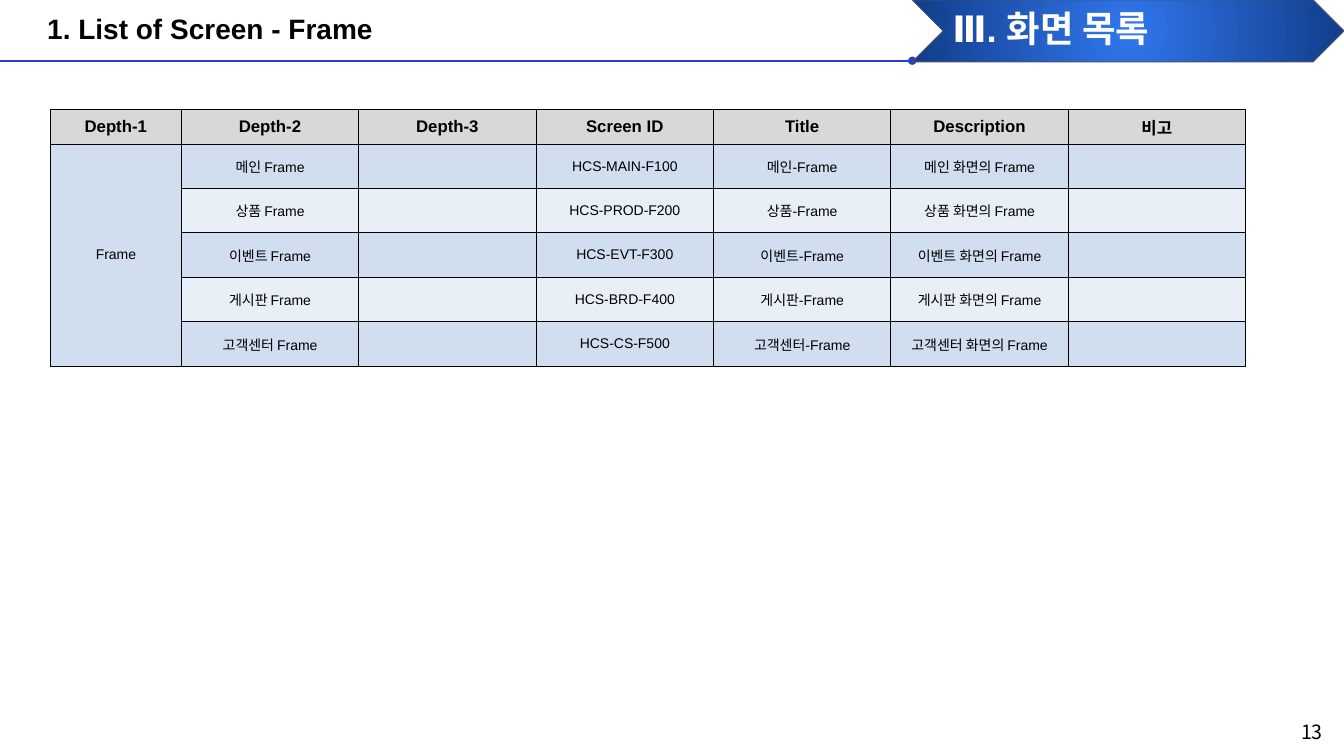
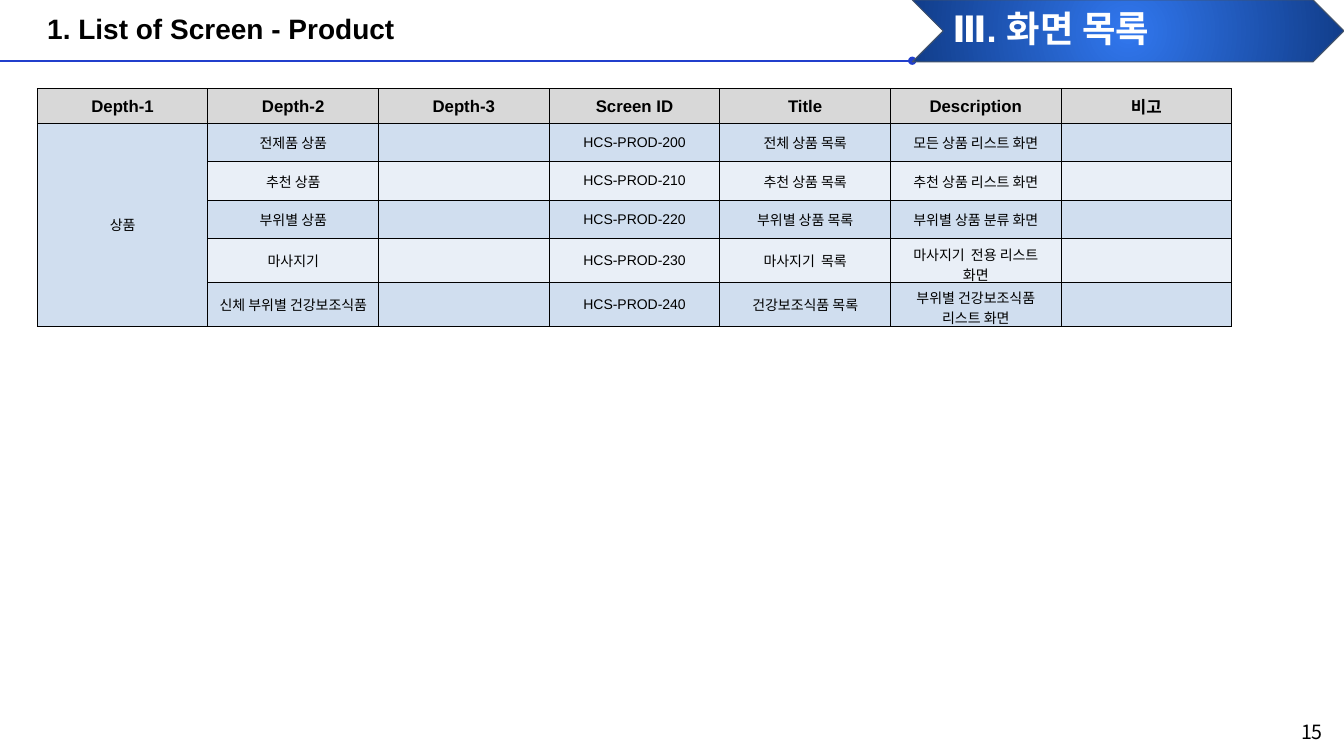
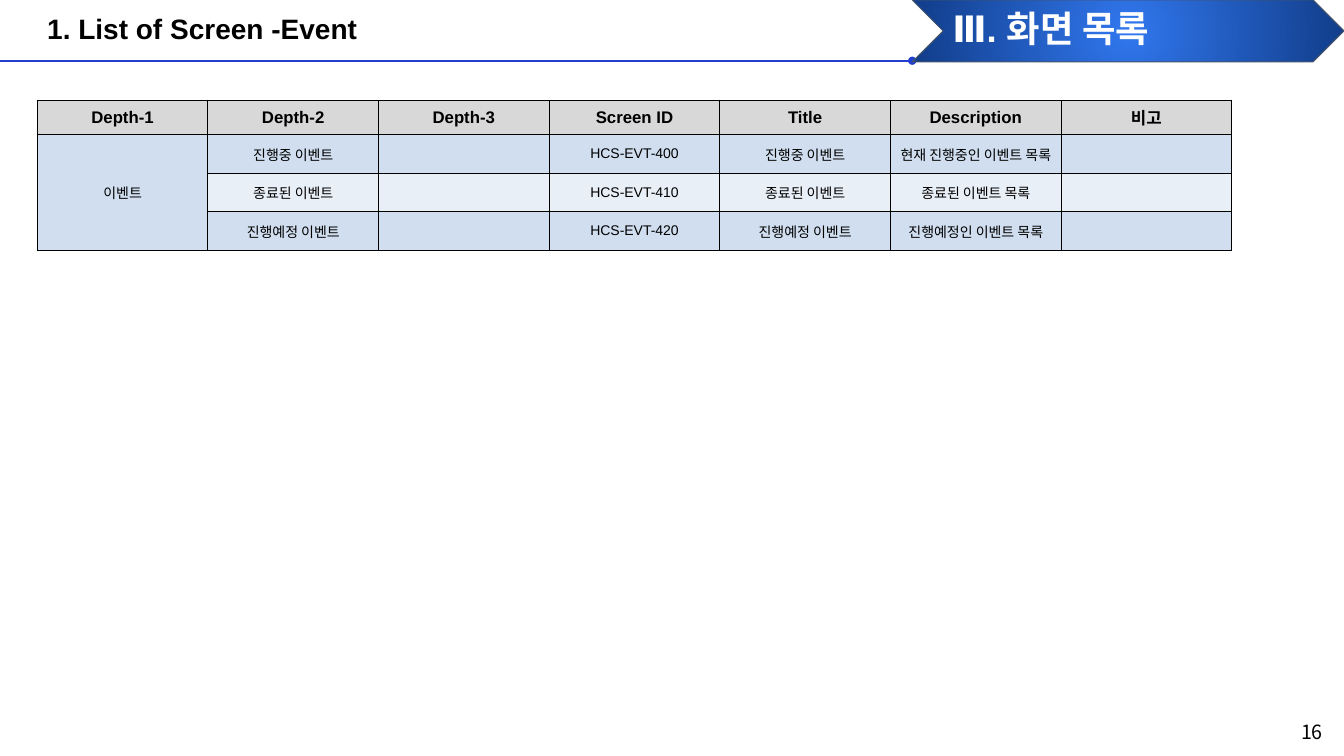
from lxml.etree import SubElement
from pptx import Presentation
from pptx.dml.color import RGBColor
from pptx.enum.shapes import MSO_CONNECTOR, MSO_SHAPE
from pptx.enum.text import MSO_ANCHOR as Anchor, PP_ALIGN as Align
from pptx.oxml.ns import qn
from pptx.util import Cm, Pt

# Shared look
BLACK = RGBColor(0x00, 0x00, 0x00)
WHITE = RGBColor(0xFF, 0xFF, 0xFF)
RULE_BLUE = RGBColor(0x21, 0x3F, 0xCC)
BANNER_CENTRE = RGBColor(0x31, 0x77, 0xEE)
BANNER_EDGE = RGBColor(0x11, 0x3D, 0x8A)
BANNER_LINE = RGBColor(0x44, 0x54, 0x6A)
HEADER_GREY = RGBColor(0xD8, 0xD8, 0xD8)
ROW_FILLS = (RGBColor(0xD0, 0xDE, 0xEF), RGBColor(0xE9, 0xEF, 0xF7))
LATIN, KOREAN = "Arial", "Noto Sans CJK KR"

SLIDE_W, SLIDE_H = Cm(33.87), Cm(19.05)
BAND_H = Cm(1.53)
BANNER_LEFT = Cm(22.99)
HEADER_H = Cm(0.87)

SECTION = "Ⅲ. 화면 목록"
HEADINGS = ("Depth-1", "Depth-2", "Depth-3", "Screen ID", "Title",
            "Description", "비고")

# Each row: Depth-2, Screen ID, Title, Description
FRAME_ROWS = [
    (f"{area} Frame", f"HCS-{code}", f"{area}-Frame", f"{area} 화면의 Frame")
    for area, code in (("메인", "MAIN-F100"), ("상품", "PROD-F200"),
                       ("이벤트", "EVT-F300"), ("게시판", "BRD-F400"),
                       ("고객센터", "CS-F500"))
]
PRODUCT_ROWS = [
    ("전제품 상품", "HCS-PROD-200", "전체 상품 목록", "모든 상품 리스트 화면"),
    ("추천 상품", "HCS-PROD-210", "추천 상품 목록", "추천 상품 리스트 화면"),
    ("부위별 상품", "HCS-PROD-220", "부위별 상품 목록", "부위별 상품 분류 화면"),
    ("마사지기", "HCS-PROD-230", "마사지기  목록", "마사지기  전용 리스트 화면"),
    ("신체 부위별 건강보조식품", "HCS-PROD-240", "건강보조식품 목록",
     "부위별 건강보조식품 리스트 화면"),
]
EVENT_ROWS = [
    ("진행중 이벤트", "HCS-EVT-400", "진행중 이벤트", "현재 진행중인 이벤트 목록"),
    ("종료된 이벤트", "HCS-EVT-410", "종료된 이벤트", "종료된 이벤트 목록"),
    ("진행예정 이벤트", "HCS-EVT-420", "진행예정 이벤트", "진행예정인 이벤트 목록"),
]


def style_paragraph(paragraph, size, color, bold=False, latin=LATIN):
    font = paragraph.font
    font.size, font.bold, font.name = Pt(size), bold, latin
    font.color.rgb = color
    SubElement(font._element, qn("a:ea"), typeface=KOREAN)


def add_label(slide, text, left, top, width, height, size, color, bold=True,
              latin=LATIN, anchor=Anchor.MIDDLE, spacing=0.9):
    frame = slide.shapes.add_textbox(left, top, width, height).text_frame
    frame.word_wrap = True
    frame.vertical_anchor = anchor
    paragraph = frame.paragraphs[0]
    paragraph.text = text
    paragraph.line_spacing = spacing
    style_paragraph(paragraph, size, color, bold, latin)


def add_title_band(slide, title):
    # Rule ending in a dot
    rule = slide.shapes.add_connector(MSO_CONNECTOR.STRAIGHT, 0, BAND_H,
                                      BANNER_LEFT, BAND_H)
    rule.line.color.rgb = RULE_BLUE
    rule.line.width = Pt(1.5)
    SubElement(rule.line._get_or_add_ln(), qn("a:tailEnd"), type="oval")
    SubElement(rule._element.spPr, qn("a:effectLst"))

    # Section banner with a radial gradient
    banner = slide.shapes.add_shape(MSO_SHAPE.CHEVRON, BANNER_LEFT, 0,
                                    SLIDE_W - BANNER_LEFT, Cm(1.56))
    banner.shadow.inherit = False
    banner.line.color.rgb = BANNER_LINE
    banner.line.width = Pt(0.75)
    banner.fill.gradient()
    for stop, color in zip(banner.fill.gradient_stops,
                           (BANNER_CENTRE, BANNER_EDGE)):
        stop.color.rgb = color
    gradient = banner._element.spPr.find(qn("a:gradFill"))
    gradient.remove(gradient.find(qn("a:lin")))
    radial = SubElement(gradient, qn("a:path"))
    radial.set("path", "circle")
    SubElement(radial, qn("a:fillToRect"),
               dict.fromkeys("ltrb", "50000"))

    # Slide title and section name
    title_left, section_left = Cm(0.94), Cm(23.75)
    add_label(slide, title, title_left, 0, BANNER_LEFT - title_left, BAND_H,
              20, BLACK)
    add_label(slide, SECTION, section_left, 0, SLIDE_W - section_left, BAND_H,
              26, WHITE)


def add_page_number(slide, number):
    add_label(slide, str(number), Cm(32.54), Cm(18.01), Cm(1.57), Cm(0.86),
              14, BLACK, bold=False, latin=KOREAN, anchor=Anchor.TOP,
              spacing=1.0)


def fill_cell(cell, text, fill, size, bold=False):
    cell.vertical_anchor = Anchor.MIDDLE
    for side in ("a:lnL", "a:lnR", "a:lnT", "a:lnB"):
        border = SubElement(cell._tc.get_or_add_tcPr(), qn(side),
                            w=str(Pt(0.75)))
        ink = SubElement(border, qn("a:solidFill"))
        SubElement(ink, qn("a:srgbClr"), val=str(BLACK))
    cell.fill.solid()
    cell.fill.fore_color.rgb = fill
    paragraph = cell.text_frame.paragraphs[0]
    paragraph.text = text
    paragraph.alignment = Align.CENTER
    style_paragraph(paragraph, size, BLACK, bold)
    if not text:
        # Keeps an empty cell from stretching its row
        SubElement(paragraph._p, qn("a:endParaRPr"), sz=str(size * 100))


def add_screen_table(slide, left, top, widths, row_height, group, screens):
    table = slide.shapes.add_table(
        len(screens) + 1, len(HEADINGS), left, top, sum(widths),
        HEADER_H + row_height * len(screens)).table
    table.first_row = table.horz_banding = False
    for column, width in zip(table.columns, widths):
        column.width = width
    for row in table.rows:
        row.height = row_height
    table.rows[0].height = HEADER_H

    for col, heading in enumerate(HEADINGS):
        fill_cell(table.cell(0, col), heading, HEADER_GREY, 12, bold=True)
    for row, (depth2, screen_id, title, description) in enumerate(screens, 1):
        texts = (group if row == 1 else "", depth2, "", screen_id, title,
                 description, "")
        for col, text in enumerate(texts):
            fill_cell(table.cell(row, col), text, ROW_FILLS[(row - 1) % 2], 10)
    table.cell(1, 0).merge(table.cell(len(screens), 0))


def add_list_slide(deck, title, number, *table_parts):
    slide = deck.slides.add_slide(deck.slide_layouts[6])
    add_title_band(slide, title)
    add_page_number(slide, number)
    add_screen_table(slide, *table_parts)


def main():
    deck = Presentation()
    deck.slide_width, deck.slide_height = SLIDE_W, SLIDE_H
    even_widths = [Cm(4.3)] * 7
    add_list_slide(deck, "1. List of Screen - Frame", 13, Cm(1.27), Cm(2.76),
                   [Cm(3.3)] + [Cm(4.47)] * 6, Cm(1.12), "Frame", FRAME_ROWS)
    add_list_slide(deck, "1. List of Screen - Product", 15, Cm(0.94), Cm(2.24),
                   even_widths, Cm(0.97), "상품", PRODUCT_ROWS)
    add_list_slide(deck, "1. List of Screen -Event", 16, Cm(0.94), Cm(2.53),
                   even_widths, Cm(0.97), "이벤트", EVENT_ROWS)
    deck.save("out.pptx")


if __name__ == "__main__":
    main()
